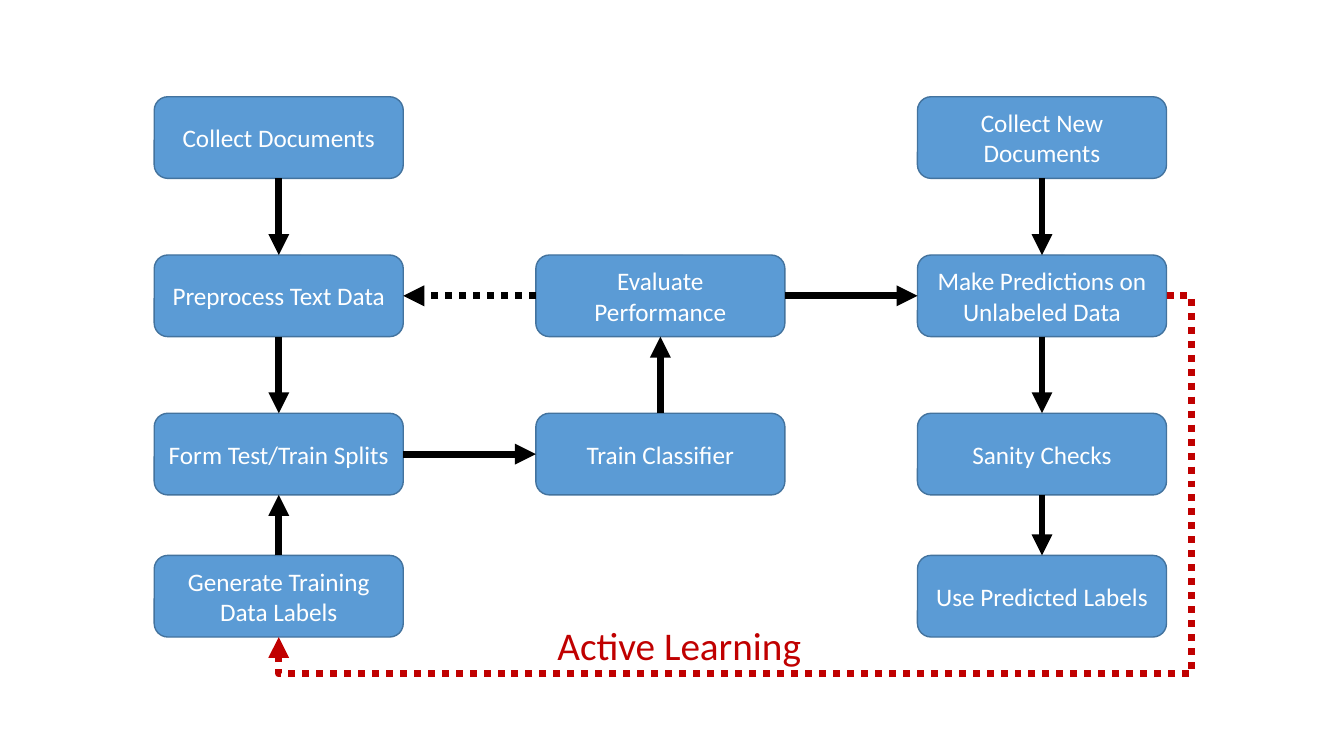
import pptx
import pptx.util
import pptx.dml.color
import pptx.enum.dml
import pptx.enum.shapes
import pptx.enum.text
import pptx.oxml.ns
import lxml.etree

inch = pptx.util.Inches
qn = pptx.oxml.ns.qn
TOP, LEFT, BOTTOM, RIGHT = range(4)
DOTTED = pptx.enum.dml.MSO_LINE.ROUND_DOT
CONNECTOR = pptx.enum.shapes.MSO_CONNECTOR

deck = pptx.Presentation()
deck.slide_width, deck.slide_height = inch(13.33), inch(7.5)
page = deck.slides.add_slide(deck.slide_layouts[6])


def paint(target, color):
    target.rgb = pptx.dml.color.RGBColor.from_string(color)


def write(box, text, size, color, align):
    para = box.text_frame.paragraphs[0]
    para.alignment = align
    span = para.add_run()
    span.text = text
    for name, value in {"name": "Calibri", "size": pptx.util.Pt(size)}.items():
        setattr(span.font, name, value)
    paint(span.font.color, color)


columns = [1.53 + 3.785 * column for column in range(3)]
rows = [0.96, 2.53, 4.1, 5.51]
step_width, step_height = 2.47, 0.81

steps = {
    "Collect Documents": (0, 0),
    "Preprocess Text Data": (0, 1),
    "Form Test/Train Splits": (0, 2),
    "Generate Training Data Labels": (0, 3),
    "Evaluate Performance": (1, 1),
    "Train Classifier": (1, 2),
    "Collect New Documents": (2, 0),
    "Make Predictions on Unlabeled Data": (2, 1),
    "Sanity Checks": (2, 2),
    "Use Predicted Labels": (2, 3),
}
boxes = {}
for text, (column, row) in steps.items():
    box = page.shapes.add_shape(
        pptx.enum.shapes.MSO_SHAPE.ROUNDED_RECTANGLE,
        inch(columns[column]), inch(rows[row]), inch(step_width), inch(step_height))
    box.shadow.inherit = False
    box.fill.solid()
    paint(box.fill.fore_color, "5B9BD5")
    paint(box.line.color, "43739E")
    box.line.width = pptx.util.Pt(1)
    frame_format = {"word_wrap": True, "vertical_anchor": pptx.enum.text.MSO_ANCHOR.MIDDLE}
    for name, value in frame_format.items():
        setattr(box.text_frame, name, value)
    write(box, text, 18, "FFFFFF", pptx.enum.text.PP_ALIGN.CENTER)
    boxes[column, row] = box

arrows = [
    ((0, 0), BOTTOM, (0, 1), TOP, "000000", None),
    ((0, 1), BOTTOM, (0, 2), TOP, "000000", None),
    ((0, 3), TOP, (0, 2), BOTTOM, "000000", None),
    ((0, 2), RIGHT, (1, 2), LEFT, "000000", None),
    ((1, 2), TOP, (1, 1), BOTTOM, "000000", None),
    ((1, 1), RIGHT, (2, 1), LEFT, "000000", None),
    ((2, 0), BOTTOM, (2, 1), TOP, "000000", None),
    ((2, 1), BOTTOM, (2, 2), TOP, "000000", None),
    ((2, 2), BOTTOM, (2, 3), TOP, "000000", None),
    ((1, 1), LEFT, (0, 1), RIGHT, "000000", DOTTED),
    ((2, 1), RIGHT, (0, 3), BOTTOM, "C00000", DOTTED),
]
for start, start_side, end, end_side, color, dash in arrows:
    feedback = (start_side, end_side) == (RIGHT, BOTTOM)
    kind = CONNECTOR.ELBOW if feedback else CONNECTOR.STRAIGHT
    arrow = page.shapes.add_connector(kind, 0, 0, 0, 0)
    arrow.begin_connect(boxes[start], start_side)
    arrow.end_connect(boxes[end], end_side)
    paint(arrow.line.color, color)
    for name, value in {"width": pptx.util.Pt(5), "dash_style": dash}.items():
        setattr(arrow.line, name, value)
    properties = arrow._element.spPr
    lxml.etree.SubElement(properties.find(qn("a:ln")), qn("a:tailEnd"), type="triangle")
    lxml.etree.SubElement(properties, qn("a:effectLst"))
    if feedback:
        geometry = properties.find(qn("a:prstGeom"))
        geometry.set("prst", "bentConnector4")
        bends = geometry.find(qn("a:avLst"))
        for name, share in {"adj1": -0.028, "adj2": 1.108}.items():
            lxml.etree.SubElement(
                bends, qn("a:gd"), name=name, fmla=f"val {round(share * 100000)}")

caption = page.shapes.add_textbox(inch(5.43), inch(6.11), inch(2.65), inch(0.57))
caption_format = {"word_wrap": False, "auto_size": pptx.enum.text.MSO_AUTO_SIZE.SHAPE_TO_FIT_TEXT}
for name, value in caption_format.items():
    setattr(caption.text_frame, name, value)
write(caption, "Active Learning", 28, "C00000", pptx.enum.text.PP_ALIGN.LEFT)

deck.save("out.pptx")
